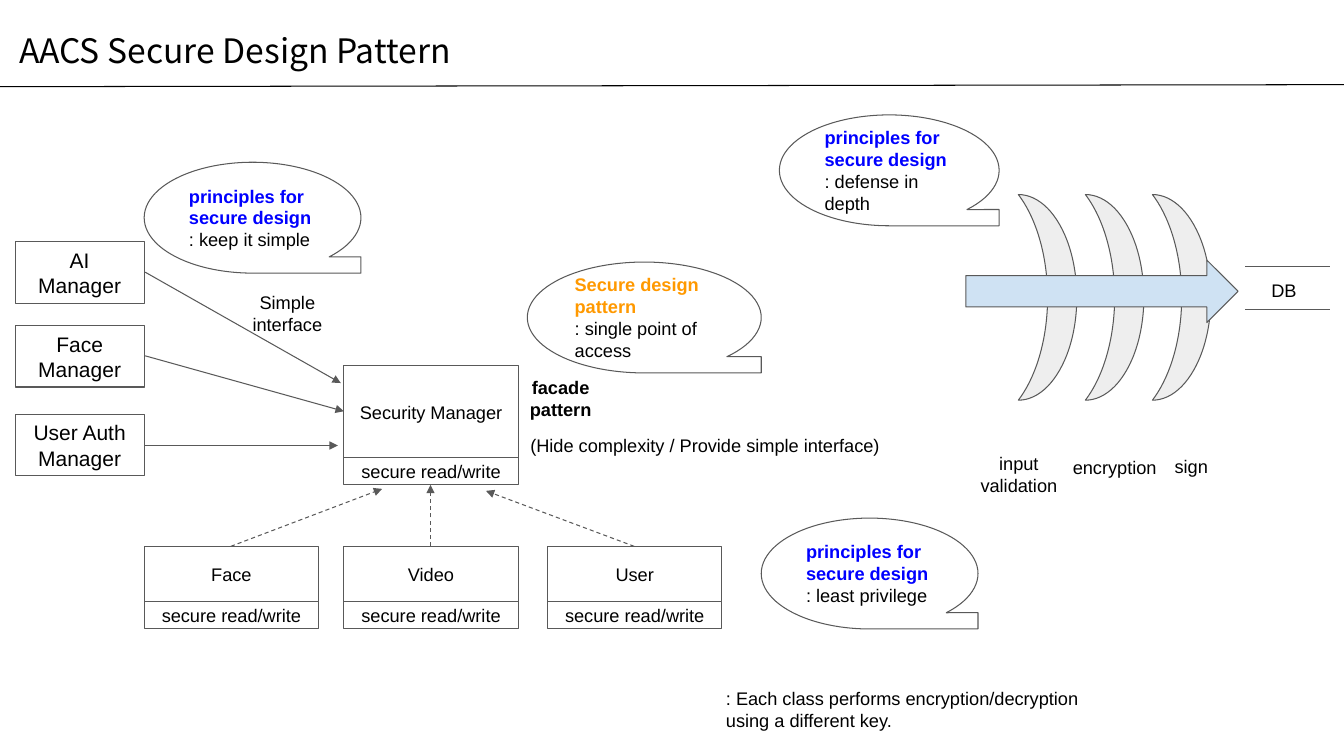
from dataclasses import dataclass

from lxml import etree
from pptx import Presentation
from pptx.dml.color import RGBColor
from pptx.enum.dml import MSO_LINE
from pptx.enum.shapes import MSO_CONNECTOR, MSO_SHAPE
from pptx.enum.text import MSO_ANCHOR, MSO_AUTO_SIZE, PP_ALIGN
from pptx.oxml.ns import qn
from pptx.util import Inches, Pt

RECTANGLE = MSO_SHAPE.RECTANGLE
TAPE = MSO_SHAPE.FLOWCHART_SEQUENTIAL_ACCESS_STORAGE
MOON = MSO_SHAPE.MOON
RIGHT_ARROW = MSO_SHAPE.RIGHT_ARROW
STRAIGHT = MSO_CONNECTOR.STRAIGHT
DASH = MSO_LINE.DASH
LEFT, CENTER = PP_ALIGN.LEFT, PP_ALIGN.CENTER
TOP, MIDDLE = MSO_ANCHOR.TOP, MSO_ANCHOR.MIDDLE
NO_AUTOFIT = MSO_AUTO_SIZE.NONE
TITLE_ONLY = 5


@dataclass(frozen=True)
class Theme:
    font: str = "Arial"
    title_font: str = "Noto Sans CJK KR"
    title_size: int = 24
    manager_size: int = 15
    text_size: int = 13
    line_width: float = 0.75
    inset: float = 1.3
    text: str = "000000"
    outline: str = "595959"
    paper: str = "FFFFFF"
    principle: str = "0000FF"
    pattern: str = "FF9900"
    layer: str = "EEEEEE"
    flow: str = "CFE2F3"


class DiagramSlide:
    def __init__(self, presentation, theme, columns, rows):
        self.theme = theme
        self.slide = presentation.slides.add_slide(presentation.slide_layouts[TITLE_ONLY])
        self.column = presentation.slide_width / columns
        self.row = presentation.slide_height / rows

    def place(self, left, top, width, height):
        return (round(left * self.column), round(top * self.row),
                round(width * self.column), round(height * self.row))

    def add_text(self, frame, paragraphs, alignment, size, anchor, font=None,
                 insets=None):
        across, down = insets or (self.theme.inset, self.theme.inset)
        frame.word_wrap = True
        frame.auto_size = NO_AUTOFIT
        frame.vertical_anchor = anchor
        frame.margin_left = frame.margin_right = round(across * self.column)
        frame.margin_top = frame.margin_bottom = round(down * self.row)
        for index, (text, color, bold) in enumerate(paragraphs):
            paragraph = frame.add_paragraph() if index else frame.paragraphs[0]
            paragraph.alignment = alignment
            run = paragraph.add_run()
            run.text = text
            run.font.name = font or self.theme.font
            run.font.size = Pt(size)
            run.font.bold = bold
            run.font.color.rgb = RGBColor.from_string(color)

    def title(self, text, *area):
        shape = self.slide.shapes.title
        shape.left, shape.top, shape.width, shape.height = self.place(*area)
        self.add_text(shape.text_frame, [(text, self.theme.text, False)], LEFT,
                      self.theme.title_size, TOP, self.theme.title_font, (1, 0.5))

    def label(self, lines, *area, alignment=CENTER, bold=False):
        box = self.slide.shapes.add_textbox(*self.place(*area))
        self.add_text(box.text_frame, [(line, self.theme.text, bold) for line in lines],
                      alignment, self.theme.text_size, TOP)

    def shape(self, preset, *area, fill=None):
        shape = self.slide.shapes.add_shape(preset, *self.place(*area))
        shape.shadow.inherit = False
        shape.fill.solid()
        shape.fill.fore_color.rgb = RGBColor.from_string(fill or self.theme.paper)
        shape.line.color.rgb = RGBColor.from_string(self.theme.outline)
        shape.line.width = Pt(self.theme.line_width)
        return shape

    def box(self, lines, *area, size=None):
        shape = self.shape(RECTANGLE, *area)
        self.add_text(shape.text_frame, [(line, self.theme.text, False) for line in lines],
                      CENTER, size or self.theme.text_size, MIDDLE)

    def component(self, name, left, top, height):
        width, access_height = 17.3, 2.7
        self.box([name], left, top, width, height)
        self.box(["secure read/write"], left, top + height, width, access_height)

    def callout(self, heading, color, detail, left, top, width):
        shape = self.shape(TAPE, left, top, width, 11)
        self.add_text(shape.text_frame,
                      [(heading, color, True), (detail, self.theme.text, False)],
                      LEFT, self.theme.text_size, MIDDLE)

    def line(self, start, end, color=None, arrow=False, dashed=False):
        (x1, y1), (x2, y2) = start, end
        connector = self.slide.shapes.add_connector(
            STRAIGHT, round(x1 * self.column), round(y1 * self.row),
            round(x2 * self.column), round(y2 * self.row))
        connector.line.color.rgb = RGBColor.from_string(color or self.theme.outline)
        connector.line.width = Pt(self.theme.line_width)
        if dashed:
            connector.line.dash_style = DASH
        properties = connector.element.spPr
        if arrow:
            etree.SubElement(properties.find(qn("a:ln")), qn("a:tailEnd"), type="triangle")
        etree.SubElement(properties, qn("a:effectLst"))


def draw_managers(diagram, theme):
    diagram.component("Security Manager", 34.1, 36.3, 9.1)
    managers = [
        (["AI Manager"], 24, 27, (33.8, 38)),
        (["Face Manager"], 32.3, 35.3, (34.1, 40.8)),
        (["User Auth", "Manager"], 41.1, 44.2, (33.5, 44.2)),
    ]
    for lines, top, exit_row, target in managers:
        diagram.box(lines, 1.5, top, 12.8, 6.1, size=theme.manager_size)
        diagram.line((14.4, exit_row), target, arrow=True)
    components = [
        ("Face", 14.3, (37.9, 48.5)),
        ("Video", 34.1, (42.7, 48.1)),
        ("User", 54.3, (48.2, 48.7)),
    ]
    for name, left, target in components:
        diagram.component(name, left, 54.2, 5.5)
        diagram.line((left + 8.6, 54.2), target, arrow=True, dashed=True)


def draw_notes(diagram, theme):
    principle = ("principles for secure design", theme.principle)
    pattern = ("Secure design pattern", theme.pattern)
    callouts = [
        (principle, ": keep it simple", 14.3, 16.1, 21.5),
        (principle, ": least privilege", 75.5, 51.4, 21.5),
        (pattern, ": single point of access", 52.3, 26, 23.2),
        (principle, ": defense in depth", 77.3, 11.4, 21.8),
    ]
    for heading, detail, left, top, width in callouts:
        diagram.callout(*heading, detail, left, top, width)
    diagram.label(["Simple interface"], 22.1, 27.6, 12.8, 7.2)
    diagram.label(["facade", "pattern"], 49.2, 36, 12.8, 7.2, bold=True)
    diagram.label(["(Hide complexity / Provide simple interface)"],
                  51.3, 41.8, 49.7, 4.9, alignment=LEFT)
    diagram.label([": Each class performs encryption/decryption using a different key."],
                  70.7, 66.9, 39.1, 7.2, alignment=LEFT)


def draw_defense_layers(diagram, theme):
    layers = [
        ("input validation", 94.1, 43.6, 7.2),
        ("encryption", 103.6, 44, 4.9),
        ("sign", 111.2, 43.9, 4.9),
    ]
    for index, (name, left, top, height) in enumerate(layers):
        moon = diagram.shape(MOON, 101 + index * 6.65, 19.3, 5.8, 20.4, fill=theme.layer)
        moon.rotation = 180
        diagram.label([name], left, top, 13.9, height)
    diagram.shape(RIGHT_ARROW, 95.8, 25.8, 27, 6.2, fill=theme.flow)
    diagram.label(["DB"], 124.8, 26.4, 8, 4.9, alignment=LEFT)
    for row in (26.4, 30.7):
        diagram.line((123.5, row), (131.9, row))


def main():
    presentation = Presentation()
    presentation.slide_width = Inches(13.33)
    presentation.slide_height = Inches(7.5)
    theme = Theme()
    diagram = DiagramSlide(presentation, theme, columns=133.3, rows=75)
    diagram.title("AACS Secure Design Pattern", 0.9, 2.5, 65.8, 5)
    diagram.line((0, 8.6), (133.3, 8.4), color=theme.text)
    draw_managers(diagram, theme)
    draw_notes(diagram, theme)
    draw_defense_layers(diagram, theme)
    presentation.save("out.pptx")


if __name__ == "__main__":
    main()
